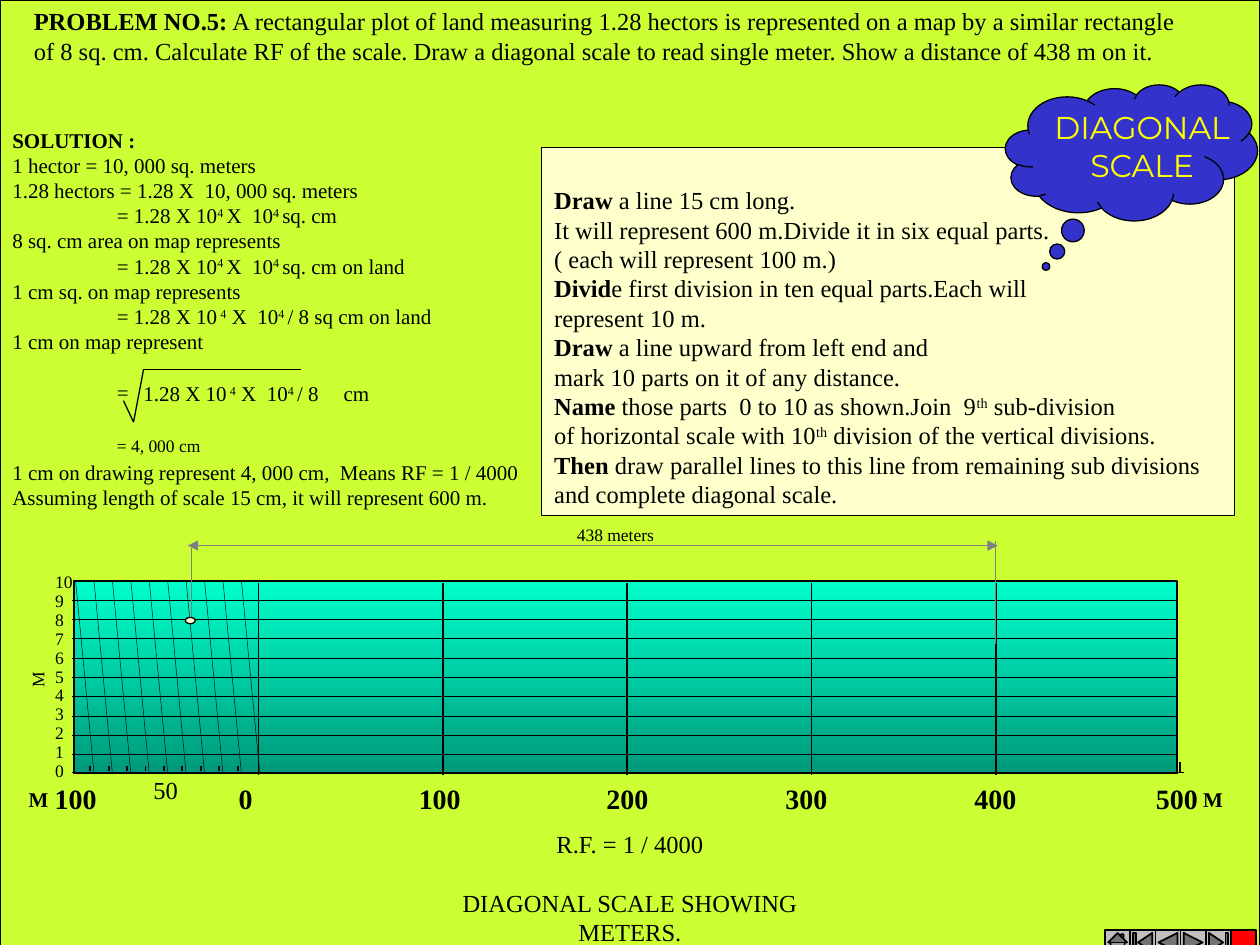
from lxml import etree
from pptx import Presentation
from pptx.dml.color import RGBColor
from pptx.enum.shapes import MSO_CONNECTOR, MSO_SHAPE
from pptx.enum.text import PP_ALIGN
from pptx.oxml.ns import qn
from pptx.util import Inches, Pt

LEFT, CENTER = PP_ALIGN.LEFT, PP_ALIGN.CENTER
STRAIGHT = MSO_CONNECTOR.STRAIGHT
RECTANGLE, OVAL, CLOUD = MSO_SHAPE.RECTANGLE, MSO_SHAPE.OVAL, MSO_SHAPE.CLOUD_CALLOUT
BUTTONS = [
    MSO_SHAPE.ACTION_BUTTON_HOME, MSO_SHAPE.ACTION_BUTTON_BEGINNING,
    MSO_SHAPE.ACTION_BUTTON_BACK_OR_PREVIOUS, MSO_SHAPE.ACTION_BUTTON_FORWARD_OR_NEXT,
    MSO_SHAPE.ACTION_BUTTON_END, MSO_SHAPE.ACTION_BUTTON_CUSTOM,
]
SERIF = "Times New Roman"
BLACK, GRAY = "000000", "808080"

PROBLEM = [
    "*PROBLEM NO.5:* A rectangular plot of land measuring 1.28 hectors is represented on a map by a similar rectangle",
    "of 8 sq. cm. Calculate RF of the scale. Draw a diagonal scale to read single meter. Show a distance of 438 m on it.",
]
STEPS = [
    "*Draw* a line 15 cm long.",
    "It will represent 600 m.Divide it in six equal parts.",
    "( each will represent 100 m.)",
    "*Divid*e first division in ten equal parts.Each will",
    "represent 10 m.",
    "*Draw* a line upward from left end and",
    "mark 10 parts on it of any distance.",
    "*Name* those parts  0 to 10 as shown.Join  9^th^ sub-division",
    "of horizontal scale with 10^th^ division of the vertical divisions.",
    "*Then* draw parallel lines to this line from remaining sub divisions",
    "and complete diagonal scale.",
]
SOLUTION = [
    "*SOLUTION :*",
    "1 hector = 10, 000 sq. meters",
    "1.28 hectors = 1.28 X  10, 000 sq. meters",
    "= 1.28 X 10^4 ^X  10^4 ^sq. cm",
    "8 sq. cm area on map represents",
    "= 1.28 X 10^4 ^X  10^4 ^sq. cm on land",
    "1 cm sq. on map represents",
    "= 1.28 X 10^ 4^ X  10^4 ^/ 8 sq cm on land",
    "1 cm on map represent",
    "=",
]
CONCLUSION = [
    "1 cm on drawing represent 4, 000 cm,  Means RF = 1 / 4000",
    "Assuming length of scale 15 cm, it will represent 600 m.",
]


def color(value):
    return RGBColor.from_string(value)


def add_box(slide, kind, left, top, width, height, fill, weight=0.75):
    shape = slide.shapes.add_shape(
        kind, Inches(left), Inches(top), Inches(width), Inches(height))
    shape.shadow.inherit = False
    shape.fill.solid()
    shape.fill.fore_color.rgb = color(fill)
    shape.line.color.rgb = color(BLACK)
    shape.line.width = Pt(weight)
    return shape


def add_line(slide, x1, y1, x2, y2, weight=0.75, ink=BLACK):
    line = slide.shapes.add_connector(
        STRAIGHT, Inches(x1), Inches(y1), Inches(x2), Inches(y2))
    line.line.color.rgb = color(ink)
    line.line.width = Pt(weight)
    etree.SubElement(line._element.spPr, qn("a:effectLst"))
    return line


def add_text(slide, lines, left, top, width, height, size,
             bold=False, align=LEFT, font=SERIF, ink=BLACK):
    """Write one paragraph a line; *…* marks bold and ^…^ superscript."""
    box = slide.shapes.add_textbox(
        Inches(left), Inches(top), Inches(width), Inches(height))
    frame = box.text_frame
    frame.word_wrap = True
    for index, line in enumerate(lines):
        paragraph = frame.paragraphs[0] if index == 0 else frame.add_paragraph()
        paragraph.alignment = align
        paragraph.font.name = font
        paragraph.font.size = Pt(size)
        paragraph.font.bold = bold
        paragraph.font.color.rgb = color(ink)
        for i, part in enumerate(line.split("*")):
            for j, piece in enumerate(part.split("^")):
                if not piece:
                    continue
                run = paragraph.add_run()
                run.text = piece
                if i % 2:
                    run.font.bold = True
                if j % 2:
                    run._r.get_or_add_rPr().set("baseline", "30000")
    return box


def add_steps(slide, left, top, width, height):
    add_box(slide, RECTANGLE, left, top, width, height, "FFFFCC")
    add_text(slide, STEPS, left, top + 0.25, width, height - 0.25, 14)


def add_callout(slide, left, top, width, height):
    cloud = add_box(slide, CLOUD, left, top, width, height, "3333CC")
    cloud.adjustments[0], cloud.adjustments[1] = -0.339, 0.838
    add_text(slide, ["DIAGONAL", "SCALE"], left + 0.25, top + 0.14, 1.67, 0.7, 18,
             align=CENTER, font="Montserrat", ink="FFFF00")


def add_solution(slide, left, top, width):
    box = add_text(slide, SOLUTION, left, top, width, 2.3, 12)
    paragraphs = box.text_frame.paragraphs
    for paragraph in paragraphs:
        if paragraph.text.startswith("="):
            paragraph._p.get_or_add_pPr().set("marL", str(Inches(0.83)))
    paragraphs[-1].space_before = Pt(14.4)

    root = [(0.98, 2.22), (1.06, 2.39), (1.14, 1.97), (2.39, 1.97)]
    for (x1, y1), (x2, y2) in zip(root, root[1:]):
        add_line(slide, left + x1, top + y1, left + x2, top + y2)
    add_text(slide, ["1.28 X 10^ 4^ X  10^4 ^/ 8"], left + 1.04, top + 2.01, 1.8, 0.3, 12)
    add_text(slide, ["cm"], left + 2.63, top + 2.01, 0.5, 0.3, 12)
    add_text(slide, ["= 4, 000 cm"], left + 0.83, top + 2.44, 1.2, 0.27, 10)
    add_text(slide, CONCLUSION, left, top + 2.64, width, 0.5, 12)


def add_scale(slide, left, top, width, height):
    """Draw six main units, the first cut by diagonals into tenths."""
    unit, row = 1.4625, height / 10
    tenth, bottom, right = unit / 10, top + height, left + width
    plot = add_box(slide, RECTANGLE, left, top, width, height, "00FFCC", 1)
    plot.fill.gradient()
    plot.fill.gradient_angle = 270
    for stop, value in zip(plot.fill.gradient_stops, ("00FFCC", "00997A")):
        stop.color.rgb = color(value)

    add_line(slide, left - 0.02, bottom - 0.01, right + 0.06, bottom - 0.01, 1)
    for index in range(7):
        x = left + index * unit
        add_line(slide, x, bottom - 0.09, x, bottom - 0.01, 1)
        if 0 < index < 6:
            add_line(slide, x, top + 0.02, x, bottom + 0.01, 1)
    for index in range(1, 10):
        x, y = left + index * tenth, top + index * row
        add_line(slide, x - 0.02, bottom - 0.06, x - 0.02, bottom - 0.02, 1)
        add_line(slide, left - 0.02, y, right + 0.01, y, 0.25)
    for index in range(10):
        x = left + 0.01 + index * tenth
        add_line(slide, x, top, x + tenth, bottom, 0.25)


def add_scale_labels(slide, left, top, height):
    label_top = top + height + 0.01
    centers = [0.01, 1.36, 2.9, 4.39, 5.81, 7.31, 8.75]
    for center, label in zip(centers, [100, 0, 100, 200, 300, 400, 500]):
        add_text(slide, [str(label)], left + center - 0.35, label_top, 0.7, 0.37, 16,
                 bold=True, align=CENTER)
    add_text(slide, ["50"], left + 0.53, label_top - 0.05, 0.5, 0.33, 14)
    for offset in (-0.46, 8.86):
        add_text(slide, ["M"], left + offset, label_top + 0.04, 0.4, 0.3, 12, bold=True)

    rows = add_text(slide, [str(n) for n in range(10, -1, -1)],
                    left - 0.25, top - 0.11, 0.4, 1.74, 10)
    for paragraph in rows.text_frame.paragraphs:
        paragraph.line_spacing = 0.9
    meters = add_text(slide, ["M"], left - 0.45, top + 0.65, 0.32, 0.27, 10)
    meters.rotation = 270


def add_distance(slide, left, right, top):
    add_line(slide, right, top + 0.78, right, top - 0.04, 0.25, GRAY)
    add_line(slide, left, top + 0.61, left, top + 0.02, 0.25, GRAY)
    arrow = add_line(slide, left - 0.03, top, right + 0.02, top, 0.25, GRAY)
    outline = arrow.line._get_or_add_ln()
    for end in ("a:headEnd", "a:tailEnd"):
        etree.SubElement(outline, qn(end), type="triangle")
    add_box(slide, OVAL, left - 0.05, top + 0.57, 0.08, 0.05, "FFFFCC")
    add_text(slide, ["438 meters"], left + 2.96, top - 0.22, 0.95, 0.27, 10)


def add_caption(slide, left, top, width):
    box = add_text(slide, ["R.F. = 1 / 4000", "DIAGONAL SCALE SHOWING METERS."],
                   left, top, width, 0.8, 14, align=CENTER)
    box.text_frame.paragraphs[1].space_before = Pt(16.8)


def add_buttons(slide, left, top, size):
    for index, kind in enumerate(BUTTONS):
        fill = "FF0000" if kind == BUTTONS[-1] else "C0C0C0"
        add_box(slide, kind, left + index * size, top, size, size, fill, 1)


def main():
    presentation = Presentation()
    presentation.slide_width, presentation.slide_height = Inches(10), Inches(7.5)
    slide = presentation.slides.add_slide(presentation.slide_layouts[6])
    add_box(slide, RECTANGLE, 0, 0, 10, 7.67, "CCFF33")
    add_text(slide, PROBLEM, 0.17, 0, 9.6, 0.57, 14)
    add_steps(slide, 4.3, 1.17, 5.5, 2.92)
    add_callout(slide, 7.98, 0.67, 2, 1.08)
    add_solution(slide, 0, 0.96, 4.4)
    add_scale(slide, 0.59, 4.61, 8.75, 1.53)
    add_scale_labels(slide, 0.59, 4.61, 1.53)
    add_distance(slide, 1.52, 7.9, 4.33)
    add_caption(slide, 3.2, 6.53, 3.6)
    add_buttons(slide, 8.77, 7.38, 0.2)
    presentation.save("out.pptx")


if __name__ == "__main__":
    main()
